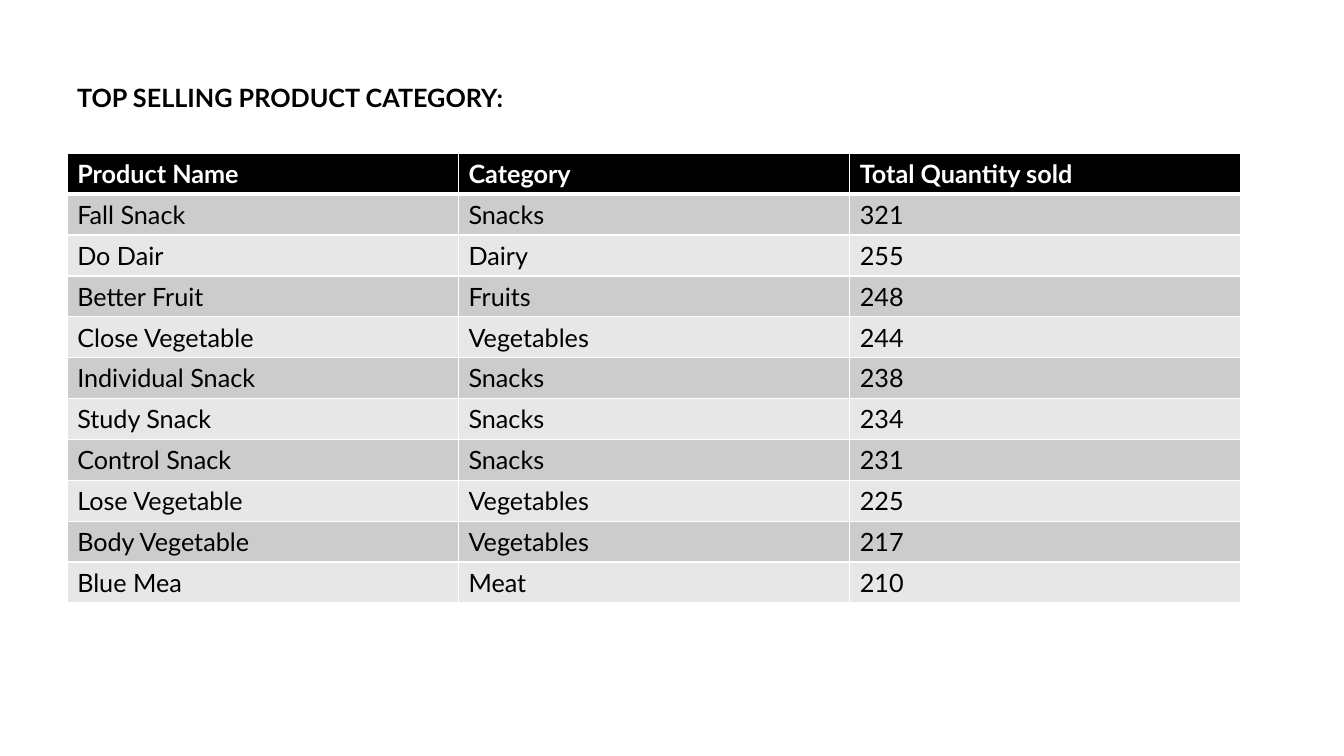
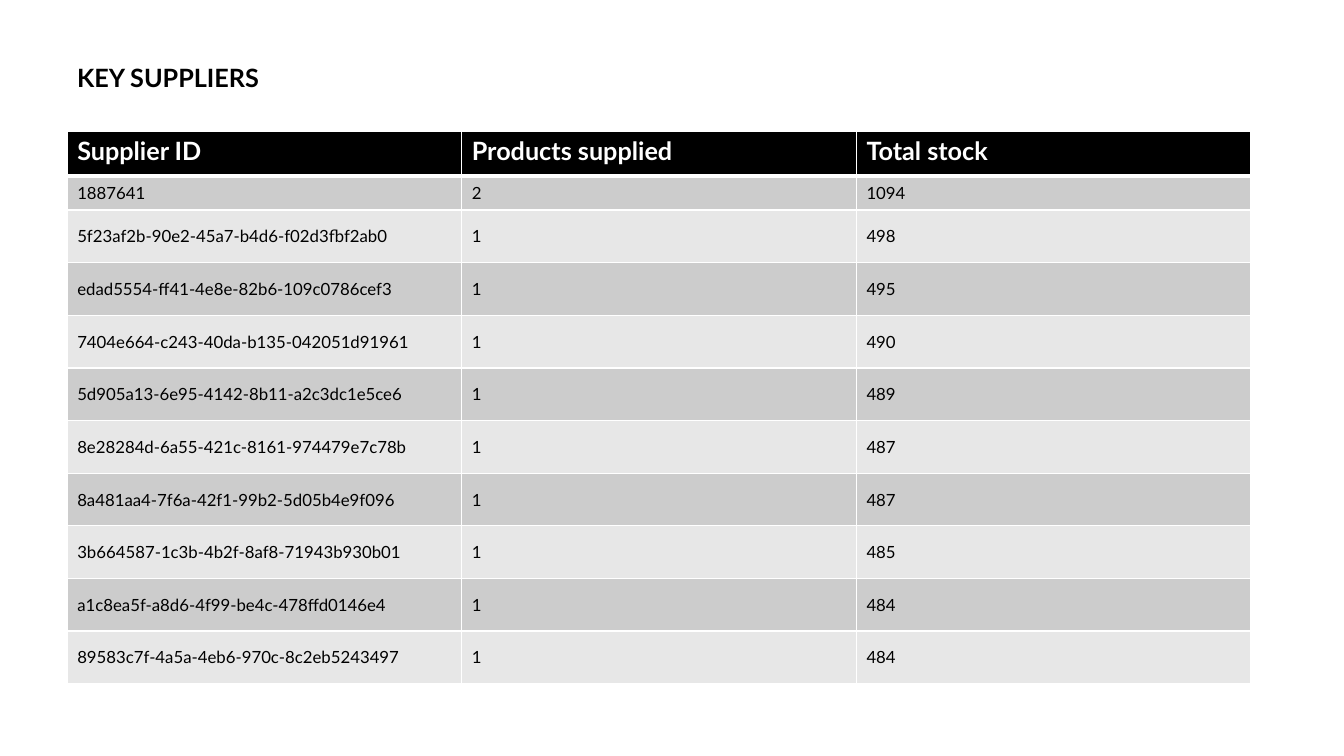
import pptx
import pptx.util
import pptx.dml.color
import pptx.enum.text
import pptx.oxml
import pptx.oxml.ns

Pt = pptx.util.Pt
FONT = "Lato"
LEFT = 48
COLORS = {"ink": "000000", "paper": "FFFFFF", "odd": "CCCCCC", "even": "E7E7E7"}

PRODUCTS = [
    ("Product Name", "Category", "Total Quantity sold"),
    ("Fall Snack", "Snacks", "321"),
    ("Do Dair", "Dairy", "255"),
    ("Better Fruit", "Fruits", "248"),
    ("Close Vegetable", "Vegetables", "244"),
    ("Individual Snack", "Snacks", "238"),
    ("Study Snack", "Snacks", "234"),
    ("Control Snack", "Snacks", "231"),
    ("Lose Vegetable", "Vegetables", "225"),
    ("Body Vegetable", "Vegetables", "217"),
    ("Blue Mea", "Meat", "210"),
]
SUPPLIERS = [
    ("Supplier ID", "Products supplied", "Total stock"),
    ("1887641", "2", "1094"),
    ("5f23af2b-90e2-45a7-b4d6-f02d3fbf2ab0", "1", "498"),
    ("edad5554-ff41-4e8e-82b6-109c0786cef3", "1", "495"),
    ("7404e664-c243-40da-b135-042051d91961", "1", "490"),
    ("5d905a13-6e95-4142-8b11-a2c3dc1e5ce6", "1", "489"),
    ("8e28284d-6a55-421c-8161-974479e7c78b", "1", "487"),
    ("8a481aa4-7f6a-42f1-99b2-5d05b4e9f096", "1", "487"),
    ("3b664587-1c3b-4b2f-8af8-71943b930b01", "1", "485"),
    ("a1c8ea5f-a8d6-4f99-be4c-478ffd0146e4", "1", "484"),
    ("89583c7f-4a5a-4eb6-970c-8c2eb5243497", "1", "484"),
]


def rgb(name):
    return pptx.dml.color.RGBColor.from_string(COLORS[name])


def write(tf, text, size=18, color="ink", bold=False, spacing=None):
    p = tf.paragraphs[0]
    p.line_spacing = spacing
    r = p.add_run()
    r.text = text
    r.font.name = FONT
    r.font.size = Pt(size)
    r.font.bold = bold
    r.font.color.rgb = rgb(color)


class Deck:
    """Table slides in one shared style."""

    def __init__(self):
        self.prs = pptx.Presentation()
        self.prs.slide_width = Pt(960)
        self.prs.slide_height = Pt(540)
        self.s = None

    def slide(self):
        self.s = self.prs.slides.add_slide(self.prs.slide_layouts[6])

    def title(self, text, top, height):
        sp = self.s.shapes.add_textbox(Pt(LEFT), Pt(top), Pt(839), Pt(height))
        tf = sp.text_frame
        tf.word_wrap = True
        tf.vertical_anchor = pptx.enum.text.MSO_ANCHOR.TOP
        write(tf, text, bold=True, spacing=0.9)

    def borders(self, cell, **widths):
        tc_pr = cell._tc.get_or_add_tcPr()
        for i, side in enumerate("LRTB"):
            width = Pt(widths.get(side, 1))
            tc_pr.insert(i, pptx.oxml.parse_xml(
                f'<a:ln{side} {pptx.oxml.ns.nsdecls("a")} w="{width}"><a:solidFill>'
                f'<a:srgbClr val="{COLORS["paper"]}"/></a:solidFill></a:ln{side}>'))

    def cell(self, cell, text, row, size):
        head = row == 0
        cell.fill.solid()
        cell.fill.fore_color.rgb = rgb("ink" if head else "odd" if row % 2 else "even")
        if head:
            write(cell.text_frame, text, color="paper", bold=True)
            self.borders(cell, B=3)
        else:
            cell.vertical_anchor = pptx.enum.text.MSO_ANCHOR.MIDDLE
            write(cell.text_frame, text, size=size)
            self.borders(cell, T=3 if row == 1 else 1)

    def table(self, rows, top, width, heights, size):
        count = len(rows[0])
        table = self.s.shapes.add_table(len(rows), count, Pt(LEFT), Pt(top),
                                        Pt(width), Pt(sum(heights))).table
        for column in table.columns:
            column.width = Pt(width / count)
        for i, (values, height) in enumerate(zip(rows, heights)):
            table.rows[i].height = Pt(height)
            for j, text in enumerate(values):
                self.cell(table.cell(i, j), text, i, size)


def main():
    deck = Deck()
    deck.slide()
    deck.title("TOP SELLING PRODUCT CATEGORY:", 57.6, 89)
    deck.table(PRODUCTS, 109.5, 838.5, [29.2] * 11, 18)
    deck.slide()
    deck.title("KEY SUPPLIERS", 43.2, 39.6)
    deck.table(SUPPLIERS, 93.6, 845.7, [32.2, 24.3] + [37.6] * 9, 12)
    deck.prs.save("out.pptx")


if __name__ == "__main__":
    main()
